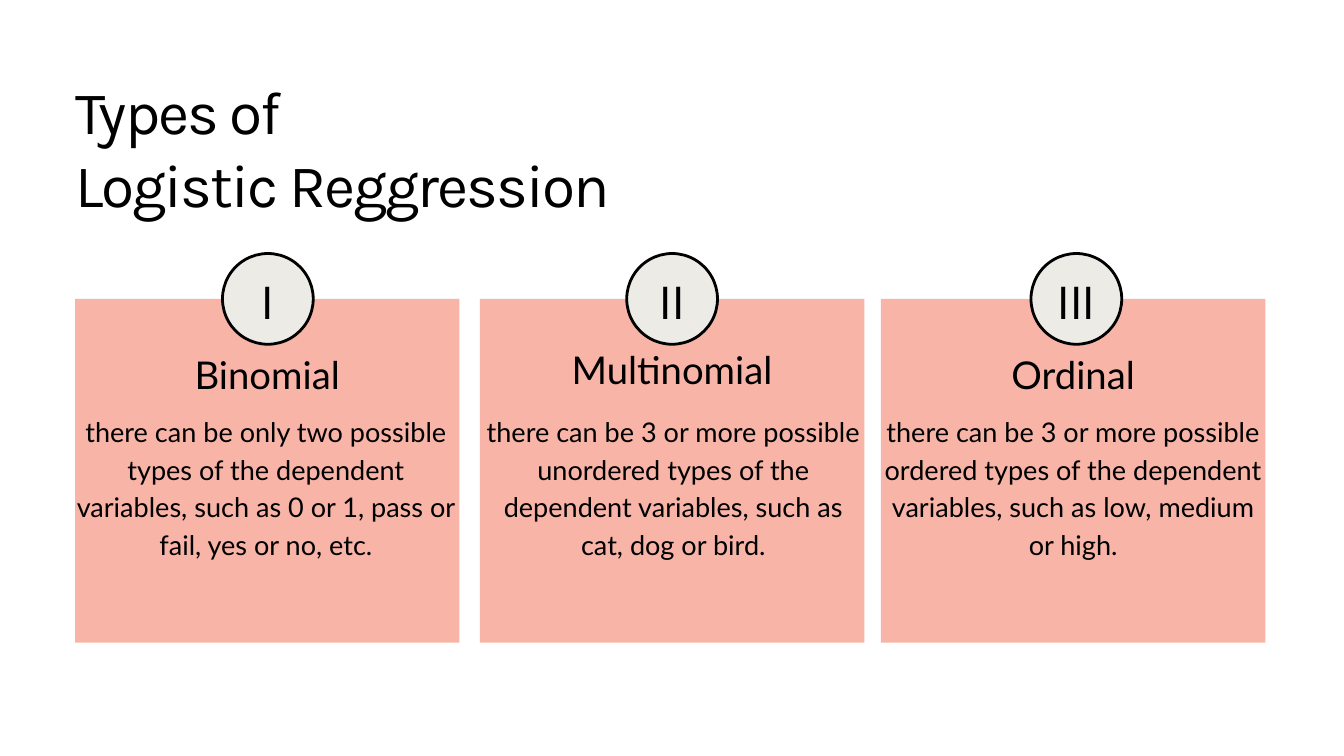
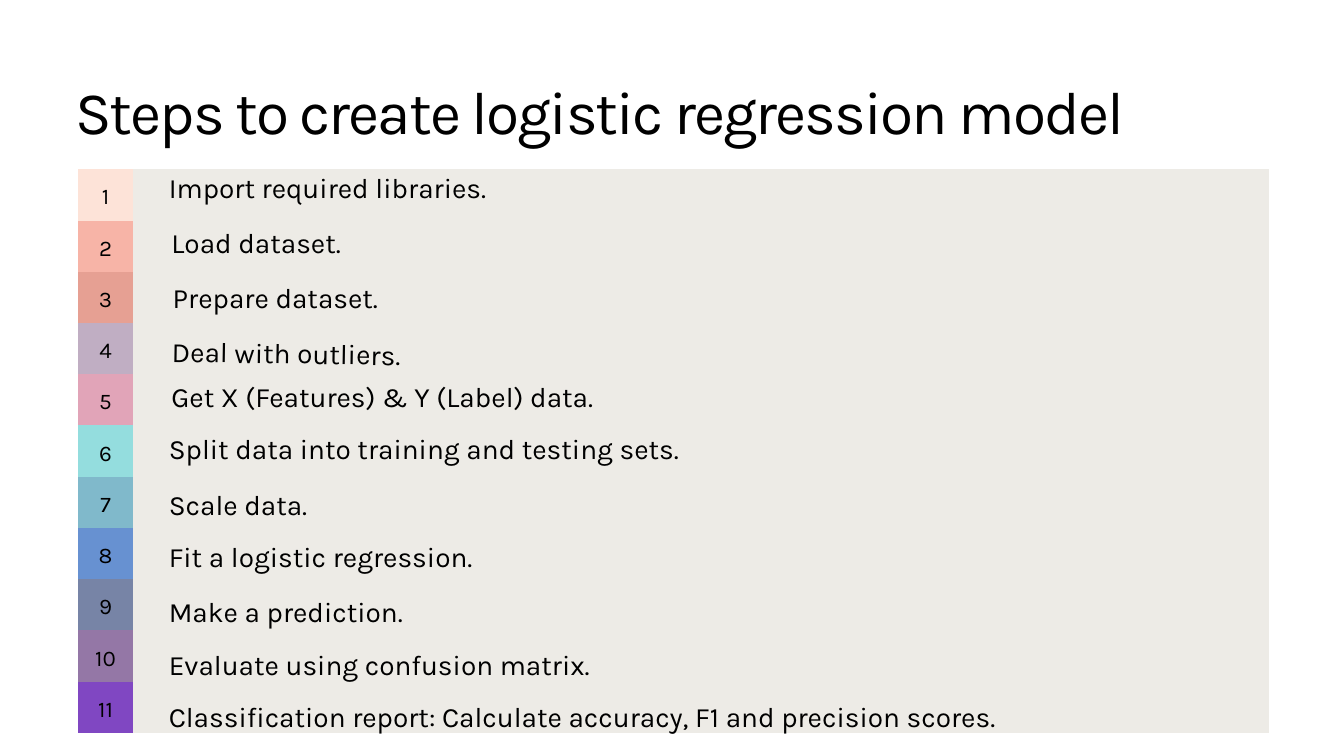
from pptx import Presentation
from pptx.dml.color import RGBColor
from pptx.enum.shapes import MSO_SHAPE
from pptx.enum.text import MSO_ANCHOR, MSO_AUTO_SIZE, PP_ALIGN
from pptx.util import Cm, Pt

COLORS = {"text": "000000", "card": "F7B4A7", "panel": "EDEBE6"}
STEP_COLORS = ["FDE3D8", "F7B4A7", "E6A093", "C0AEC3", "E1A4B8", "94DDDE",
               "80B9CB", "6791D1", "7784A6", "9477A6", "8047C2"]
NO_GRID_STYLE = "{2D5ABB26-0587-4C30-8999-92F81FD0307C}"
MARGIN = 2.84


def write(tf, text, size, leading, font="Karla", align=PP_ALIGN.LEFT,
          anchor=MSO_ANCHOR.TOP, tracking=0):
    """Fill a text frame, one paragraph per line of text."""
    tf.word_wrap = True
    tf.auto_size = MSO_AUTO_SIZE.NONE
    tf.vertical_anchor = anchor
    tf.margin_left = tf.margin_right = tf.margin_top = tf.margin_bottom = 0
    for i, line in enumerate(text.split("\n")):
        p = tf.add_paragraph() if i else tf.paragraphs[0]
        p.alignment = align
        p.line_spacing = Pt(leading)
        p.space_before = Pt(0)
        r = p.add_run()
        r.text = line
        r.font.name = font
        r.font.size = Pt(size)
        r.font.color.rgb = RGBColor.from_string(COLORS["text"])
        if tracking:
            r.font._element.set("spc", str(round(tracking * 100)))


def add_titled_slide(prs, title, height):
    """Add a title-only slide with the shared title style."""
    s = prs.slides.add_slide(prs.slide_layouts[5])
    sp = s.shapes.title
    sp.left, sp.top, sp.width, sp.height = Cm(MARGIN), Cm(2.82), Cm(45.09), Cm(height)
    write(sp.text_frame, title, size=64.7, leading=77.6, tracking=-2)
    return s


prs = Presentation()
prs.slide_width, prs.slide_height = Cm(50.8), Cm(28.58)

# Slide 1: three cards, each with a numbered badge
s = add_titled_slide(prs, "Types of\nLogistic Reggression", 5.49)
card_w, card_top, badge = 14.53, 11.3, 3.43
# numeral, card left, heading top, heading, body left, body width, body
types = [
    ("I", MARGIN, 12.98, "Binomial", MARGIN, 14.43,
     "there can be only two possible types of the dependent variables, "
     "such as 0 or 1, pass or fail, yes or no, etc."),
    ("II", 18.14, 12.8, "Multinomial", 18.24, 14.43,
     "there can be 3 or more possible unordered types of the dependent "
     "variables, such as cat, dog or bird."),
    ("III", 33.3, 12.98, "Ordinal", 33.3, card_w,
     "there can be 3 or more possible ordered types of the dependent "
     "variables, such as low, medium or high."),
]
for i, (numeral, left, head_top, heading, body_left, body_w, body) in enumerate(types):
    # Card
    sp = s.shapes.add_shape(MSO_SHAPE.RECTANGLE, Cm(left), Cm(card_top), Cm(card_w), Cm(13))
    sp.shadow.inherit = False
    sp.fill.solid()
    sp.fill.fore_color.rgb = RGBColor.from_string(COLORS["card"])
    sp.line.fill.background()

    # Badge
    sp = s.shapes.add_shape(MSO_SHAPE.OVAL, Cm(8.41 + i * 15.28), Cm(card_top - badge / 2),
                            Cm(badge), Cm(badge))
    sp.shadow.inherit = False
    sp.fill.solid()
    sp.fill.fore_color.rgb = RGBColor.from_string(COLORS["panel"])
    sp.line.color.rgb = RGBColor.from_string(COLORS["text"])
    sp.line.width = Pt(3)
    write(sp.text_frame, numeral, size=55, leading=66, tracking=-1.7,
          align=PP_ALIGN.CENTER, anchor=MSO_ANCHOR.MIDDLE)

    # Heading and description
    sp = s.shapes.add_textbox(Cm(left), Cm(head_top), Cm(card_w), Cm(1.93))
    write(sp.text_frame, heading, size=41, leading=57.4, font="Lato", align=PP_ALIGN.CENTER)
    sp = s.shapes.add_textbox(Cm(body_left), Cm(15.49), Cm(body_w), Cm(5.66))
    write(sp.text_frame, body, size=29, leading=40.6, font="Lato", align=PP_ALIGN.CENTER)

# Slide 2: numbered steps
s = add_titled_slide(prs, "Steps to create logistic regression model", 2.74)

# Number column and panel
gf = s.shapes.add_table(len(STEP_COLORS), 2, Cm(2.95), Cm(6.4), Cm(45.01), Cm(21.31))
table = gf.table
table.first_row = table.horz_banding = False
table._tbl.tblPr[0].text = NO_GRID_STYLE
table.columns[0].width, table.columns[1].width = Cm(2.08), Cm(42.93)
for i, color in enumerate(STEP_COLORS):
    for cell, fill in zip(table.rows[i].cells, (color, COLORS["panel"])):
        cell.fill.solid()
        cell.fill.fore_color.rgb = RGBColor.from_string(fill)
    cell = table.cell(i, 0)
    cell.vertical_anchor = MSO_ANCHOR.MIDDLE
    cell.margin_left = cell.margin_right = cell.margin_top = cell.margin_bottom = Cm(0.05)
    write(cell.text_frame, str(i + 1), size=24, leading=33.6, align=PP_ALIGN.CENTER)

# Step texts: left, top, width, rotation, text
steps = [
    (6.38, 6.25, 12.07, 0, "Import required libraries."),
    (6.48, 8.33, 11.79, 0, "Load dataset."),
    (6.53, 10.41, 11.79, 0, "Prepare dataset."),
    (6.5, 12.52, 11.79, 1, "Deal with outliers."),
    (6.48, 14.12, 16.56, 0, "Get X (Features) & Y (Label) data."),
    (6.38, 16.1, 23.77, 0, "Split data into training and testing sets."),
    (6.38, 18.21, 11.79, 0, "Scale data."),
    (6.38, 20.19, 11.79, 0, "Fit a logistic regression."),
    (6.38, 22.28, 11.79, 0, "Make a prediction."),
    (6.38, 24.26, 16.66, 0, "Evaluate using confusion matrix."),
    (6.38, 26.24, 35, 0, "Classification report: Calculate accuracy, F1 and precision scores."),
]
for left, top, width, rotation, text in steps:
    sp = s.shapes.add_textbox(Cm(left), Cm(top), Cm(width), Cm(1.42))
    sp.rotation = rotation
    write(sp.text_frame, text, size=30, leading=42)

prs.save("out.pptx")
